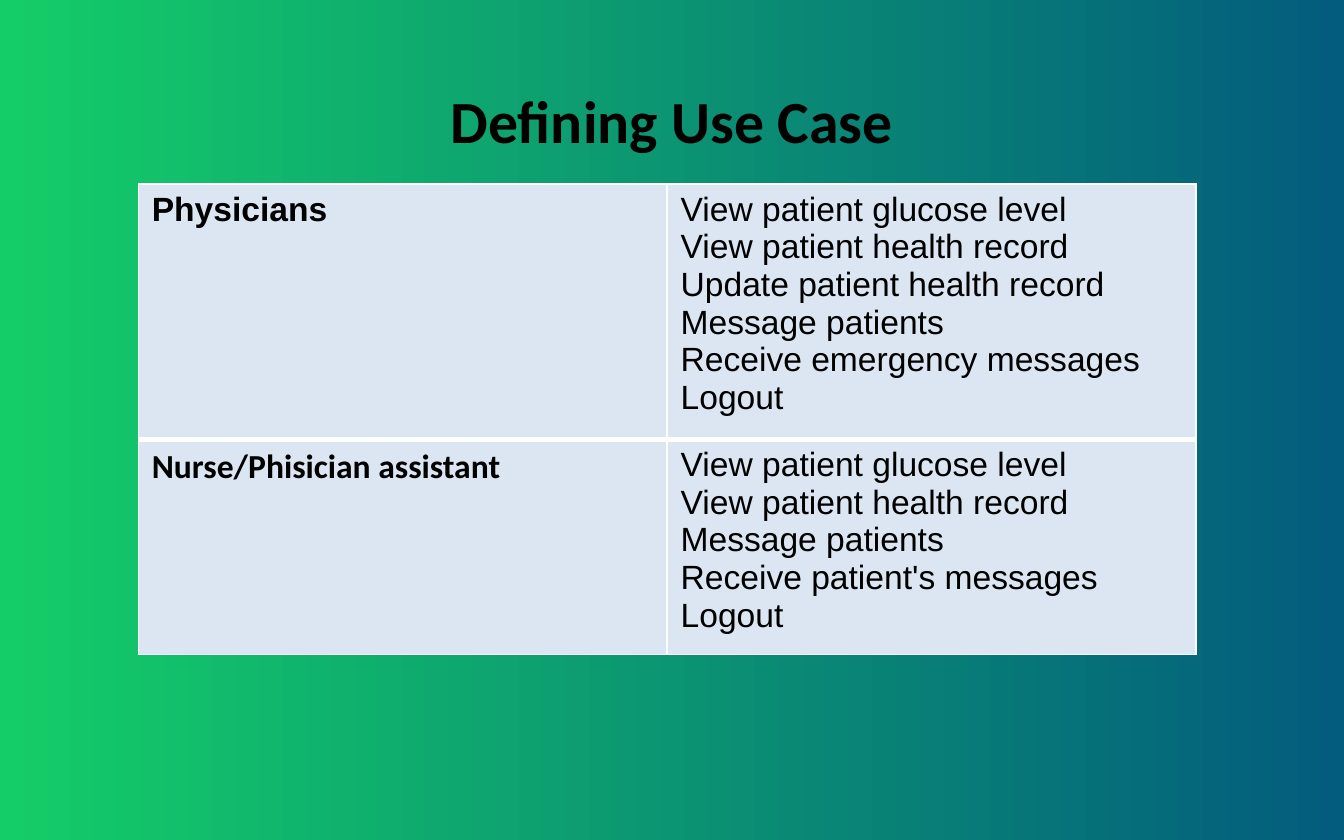
from lxml.etree import SubElement
from pptx import Presentation
from pptx.dml.color import RGBColor
from pptx.enum.text import MSO_ANCHOR as Anchor, PP_ALIGN as Align
from pptx.oxml.ns import qn
from pptx.util import Inches, Pt

BLACK = RGBColor(0x00, 0x00, 0x00)
WHITE = RGBColor(0xFF, 0xFF, 0xFF)
GREEN = RGBColor(0x14, 0xCD, 0x68)
BLUE = RGBColor(0x03, 0x5C, 0x7D)
PALE_BLUE = RGBColor(0xDC, 0xE6, 0xF2)

PHYSICIAN_TASKS = [
    "View patient glucose level",
    "View patient health record",
    "Update patient health record",
    "Message patients",
    "Receive emergency messages",
    "Logout",
]
NURSE_TASKS = [
    "View patient glucose level",
    "View patient health record",
    "Message patients",
    "Receive patient's messages",
    "Logout",
]
USE_CASES = [
    ("Physicians", "Arial", PHYSICIAN_TASKS),
    ("Nurse/Phisician assistant", "Calibri", NURSE_TASKS),
]


class SlideBuilder:
    heading_font = "Calibri"
    body_font = "Arial"
    heading_size = Pt(32)
    body_size = Pt(18)
    thin = Pt(1)
    thick = Pt(3)

    def __init__(self, slide):
        self.slide = slide

    def background(self, start, end):
        fill = self.slide.background.fill
        fill.gradient()
        fill.gradient_angle = 0
        for stop, color in zip(fill.gradient_stops, (start, end)):
            stop.color.rgb = color

    def set_text(self, text_frame, text, font_name, size, bold,
                 align=Align.LEFT):
        text_frame.text = text
        for paragraph in text_frame.paragraphs:
            paragraph.alignment = align
            for run in paragraph.runs:
                run.font.name = font_name
                run.font.size = size
                run.font.bold = bold
                run.font.color.rgb = BLACK

    def title(self, text, left, top, width, height):
        box = self.slide.shapes.add_textbox(
            Inches(left), Inches(top), Inches(width), Inches(height))
        text_frame = box.text_frame
        text_frame.word_wrap = True
        text_frame.vertical_anchor = Anchor.MIDDLE
        self.set_text(text_frame, text, self.heading_font, self.heading_size,
                      True, Align.CENTER)

    def borders(self, cell, top, bottom):
        properties = cell._tc.get_or_add_tcPr()
        widths = {"L": self.thin, "R": self.thin, "T": top, "B": bottom}
        for side, width in widths.items():
            line = SubElement(properties, qn(f"a:ln{side}"), w=str(width))
            fill = SubElement(line, qn("a:solidFill"))
            SubElement(fill, qn("a:srgbClr"), val=str(WHITE))

    def cell(self, cell, text, font_name, bold, top, bottom):
        self.borders(cell, top, bottom)
        cell.fill.solid()
        cell.fill.fore_color.rgb = PALE_BLUE
        self.set_text(cell.text_frame, text, font_name, self.body_size, bold)

    def use_case_table(self, use_cases, left, top, width, row_heights):
        table = self.slide.shapes.add_table(
            len(use_cases), 2, Inches(left), Inches(top), Inches(width),
            Inches(sum(row_heights))).table
        for index, (actor, actor_font, tasks) in enumerate(use_cases):
            table.rows[index].height = Inches(row_heights[index])
            upper = self.thin if index == 0 else self.thick
            lower = self.thick if index == 0 else self.thin
            self.cell(table.cell(index, 0), actor, actor_font, True,
                      upper, lower)
            self.cell(table.cell(index, 1), "\n".join(tasks), self.body_font,
                      False, upper, lower)


def main():
    presentation = Presentation()
    presentation.slide_width = Inches(10)
    presentation.slide_height = Inches(6.25)
    slide = presentation.slides.add_slide(presentation.slide_layouts[6])
    builder = SlideBuilder(slide)
    builder.background(GREEN, BLUE)
    builder.title("Defining Use Case", 1.43, 0.31, 7.14, 1.16)
    builder.use_case_table(USE_CASES, 1.03, 1.37, 7.87, (1.78, 1.5))
    presentation.save("out.pptx")


if __name__ == "__main__":
    main()
